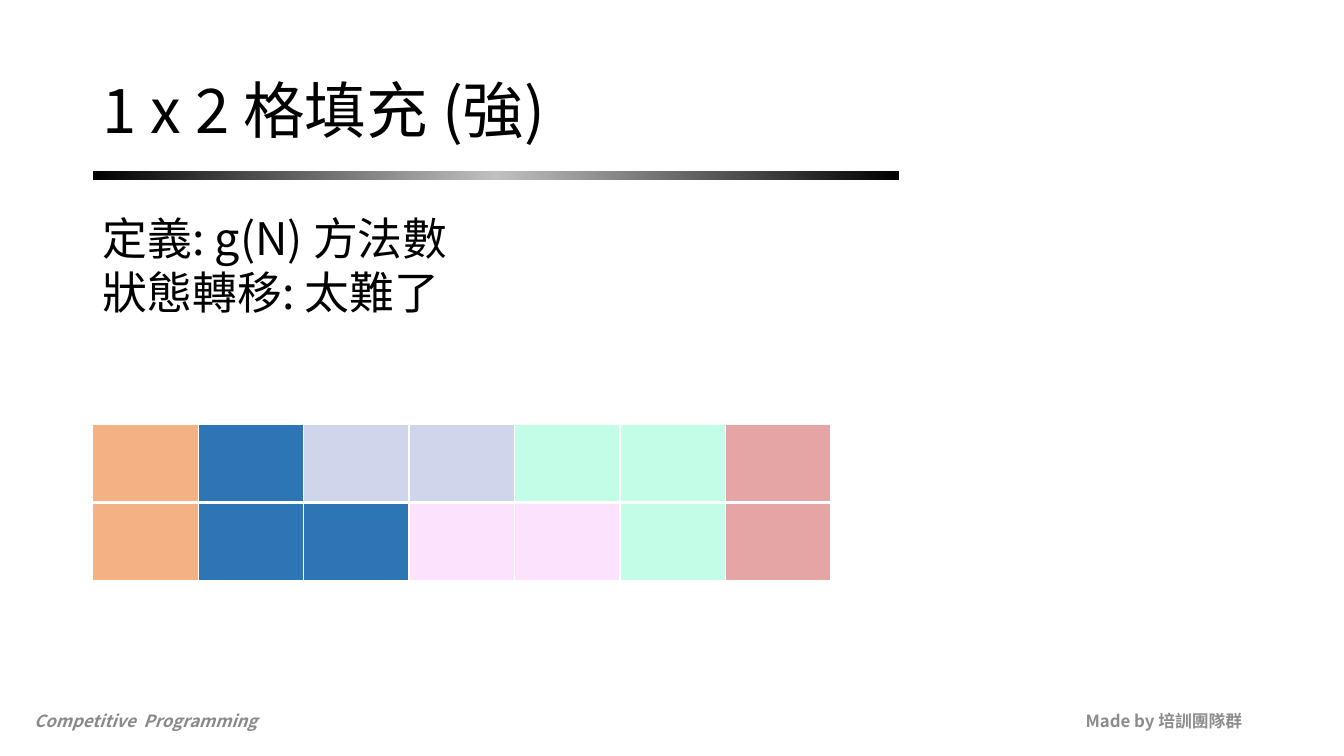
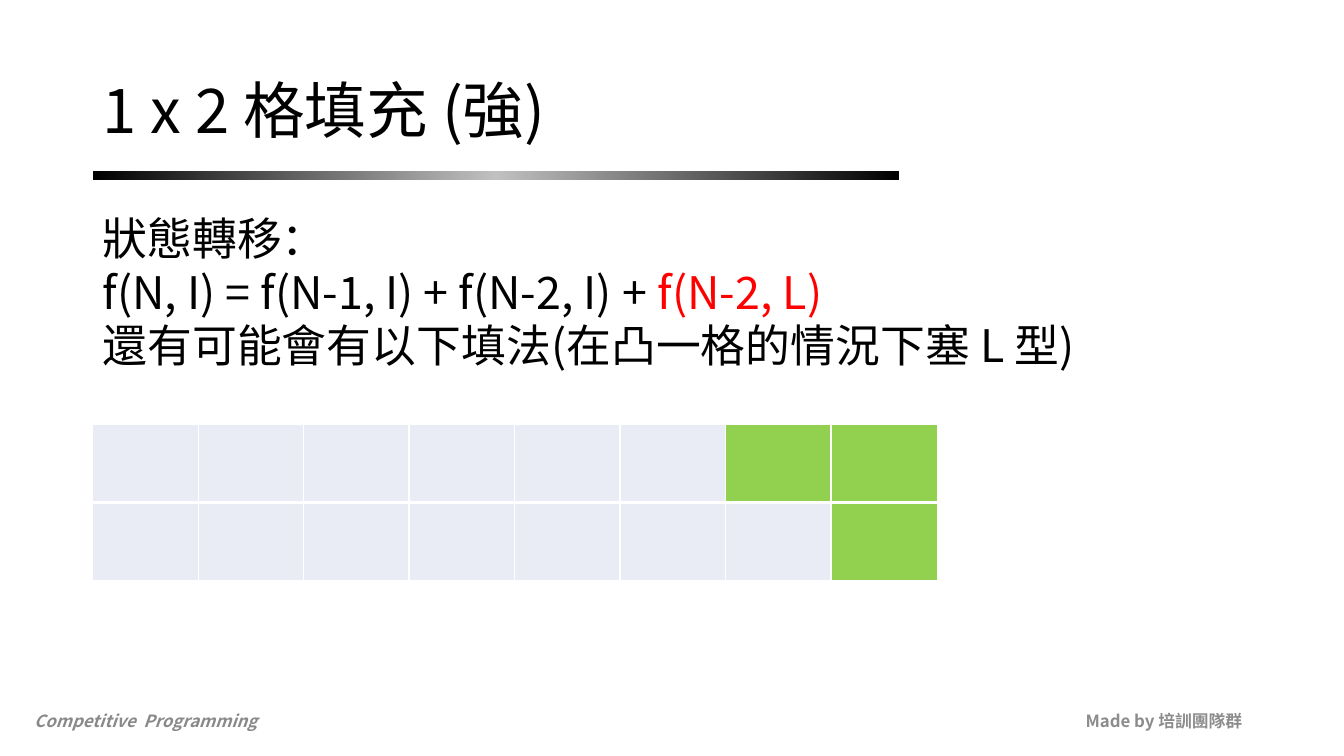
from copy import deepcopy

from pptx import Presentation
from pptx.dml.color import RGBColor
from pptx.enum.shapes import MSO_SHAPE as Shape
from pptx.enum.text import MSO_ANCHOR as Anchor, PP_ALIGN as Align
from pptx.oxml import parse_xml
from pptx.oxml.ns import nsdecls, qn
from pptx.util import Emu, Pt

FONT = "Noto Sans CJK SC"
BLACK, WHITE, RED, SILVER = "000000", "FFFFFF", "FF0000", "C0C0C0"
FOOTER_LEFT, FOOTER_RIGHT = "898989", "8C8C8C"
ORANGE, BLUE, LILAC = "F4B183", "2E75B6", "CFD5EA"
MINT, PINK, ROSE = "C3FDE7", "FCE2FD", "E5A5A5"
PALE, GREEN = "E9EBF5", "92D050"

LEFT, WIDTH = 92, 1150
GRID_TOP, GRID_WIDTH, GRID_HEIGHT = 421, 732, 155
TITLE = "1 x 2 格填充 (強)"


def px(count):
    """Turn whole px, a hundred to the inch, into EMU."""
    return Emu(count * 9144)


def color(code):
    """Turn a hex string into a colour."""
    return RGBColor.from_string(code)


def add_span(para, text, size=32, ink=BLACK, bold=False, italic=False):
    """Add formatted text to a paragraph."""
    span = para.add_run()
    span.text = text
    font = span.font
    font.name, font.size, font.bold, font.italic = FONT, Pt(size), bold, italic
    font.color.rgb = color(ink)
    east_asian = parse_xml(f'<a:ea {nsdecls("a")} typeface="{FONT}"/>')
    font._element.find(qn("a:latin")).addnext(east_asian)


def add_box(page, left, top, width, height, anchor=Anchor.MIDDLE):
    """Add an empty wrapping text box and return its frame."""
    frame = page.shapes.add_textbox(px(left), px(top), px(width), px(height)).text_frame
    frame.word_wrap = True
    frame.vertical_anchor = anchor
    return frame


def add_label(page, text, left, top, width, height, align=Align.LEFT, spacing=None, **style):
    """Add a box that holds one formatted line."""
    para = add_box(page, left, top, width, height).paragraphs[0]
    para.alignment = align
    para.line_spacing = spacing
    add_span(para, text, **style)


def add_band(page):
    """Add the gradient band under the title."""
    band = page.shapes.add_shape(Shape.RECTANGLE, px(LEFT), px(170), px(800), px(9))
    band.shadow.inherit = False
    band.line.fill.background()
    band.fill.gradient()
    band.fill.gradient_angle = 0
    for stop, ink, position in zip(band.fill.gradient_stops, (BLACK, SILVER), (0, 0.5)):
        stop.color.rgb = color(ink)
        stop.position = position
    stops = band.element.spPr.find(".//" + qn("a:gsLst"))
    last = deepcopy(stops[0])
    last.set("pos", "100000")
    stops.append(last)


def add_body(page, paragraphs):
    """Add body paragraphs, each a list of lines made of (text, ink) spans."""
    frame = add_box(page, LEFT, 200, WIDTH, 476, anchor=Anchor.TOP)
    frame.margin_top = px(10)
    for index, lines in enumerate(paragraphs):
        para = frame.add_paragraph() if index else frame.paragraphs[0]
        para.line_spacing = Pt(38)
        for number, spans in enumerate(lines):
            if number:
                para.add_line_break()
            for text, ink in spans:
                add_span(para, text, ink=ink)


def set_borders(cell, **points):
    """Draw white cell borders, given in points by side."""
    for index, (side, width) in enumerate(points.items()):
        line = parse_xml(
            f'<a:{side} {nsdecls("a")} w="{Pt(width)}"><a:solidFill>'
            f'<a:srgbClr val="{WHITE}"/></a:solidFill></a:{side}>'
        )
        cell._tc.get_or_add_tcPr().insert(index, line)


def add_grid(page, rows, left=LEFT, width=GRID_WIDTH):
    """Add a table of coloured empty cells."""
    table = page.shapes.add_table(
        len(rows), len(rows[0]), px(left), px(GRID_TOP), px(width), px(GRID_HEIGHT)
    ).table
    table.first_row = table.horz_banding = False
    for row, fills in enumerate(rows):
        for column, fill in enumerate(fills):
            cell = table.cell(row, column)
            cell.fill.solid()
            cell.fill.fore_color.rgb = color(fill)
            set_borders(cell, lnL=1, lnR=1, lnT=1 if row == 0 else 3, lnB=3 if row == 0 else 1)


def add_page(deck, paragraphs):
    """Add a page with the shared footers, band and title, and its body."""
    page = deck.slides.add_slide(deck.slide_layouts[6])
    add_label(page, "Made by 培訓團隊群", 942, 695, 300, 40,
              align=Align.RIGHT, size=12, ink=FOOTER_RIGHT, bold=True)
    add_label(page, "Competitive  Programming", 24, 695, 300, 40,
              size=12, ink=FOOTER_LEFT, bold=True, italic=True)
    add_band(page)
    add_label(page, TITLE, LEFT, 40, WIDTH, 145, spacing=0.9, size=44)
    add_body(page, paragraphs)
    return page


def main():
    """Build and save the deck."""
    deck = Presentation()
    deck.slide_width, deck.slide_height = px(1333), px(750)

    page = add_page(deck, [[
        [("定義: g(N) 方法數", BLACK)],
        [("狀態轉移: 太難了", BLACK)],
    ]])
    add_grid(page, [
        [ORANGE, BLUE, LILAC, LILAC, MINT, MINT, ROSE],
        [ORANGE, BLUE, BLUE, PINK, PINK, MINT, ROSE],
    ])

    page = add_page(deck, [
        [
            [("狀態轉移：", BLACK)],
            [("f(N, I) = f(N-1, I) + f(N-2, I) + ", BLACK), ("f(N-2, L)", RED)],
        ],
        [[("還有可能會有以下填法(在凸一格的情況下塞 L 型)", BLACK)]],
    ])
    add_grid(page, [[PALE] * 6 + [GREEN], [PALE] * 7])
    add_grid(page, [[GREEN], [GREEN]], left=825, width=105)

    deck.save("out.pptx")


if __name__ == "__main__":
    main()
